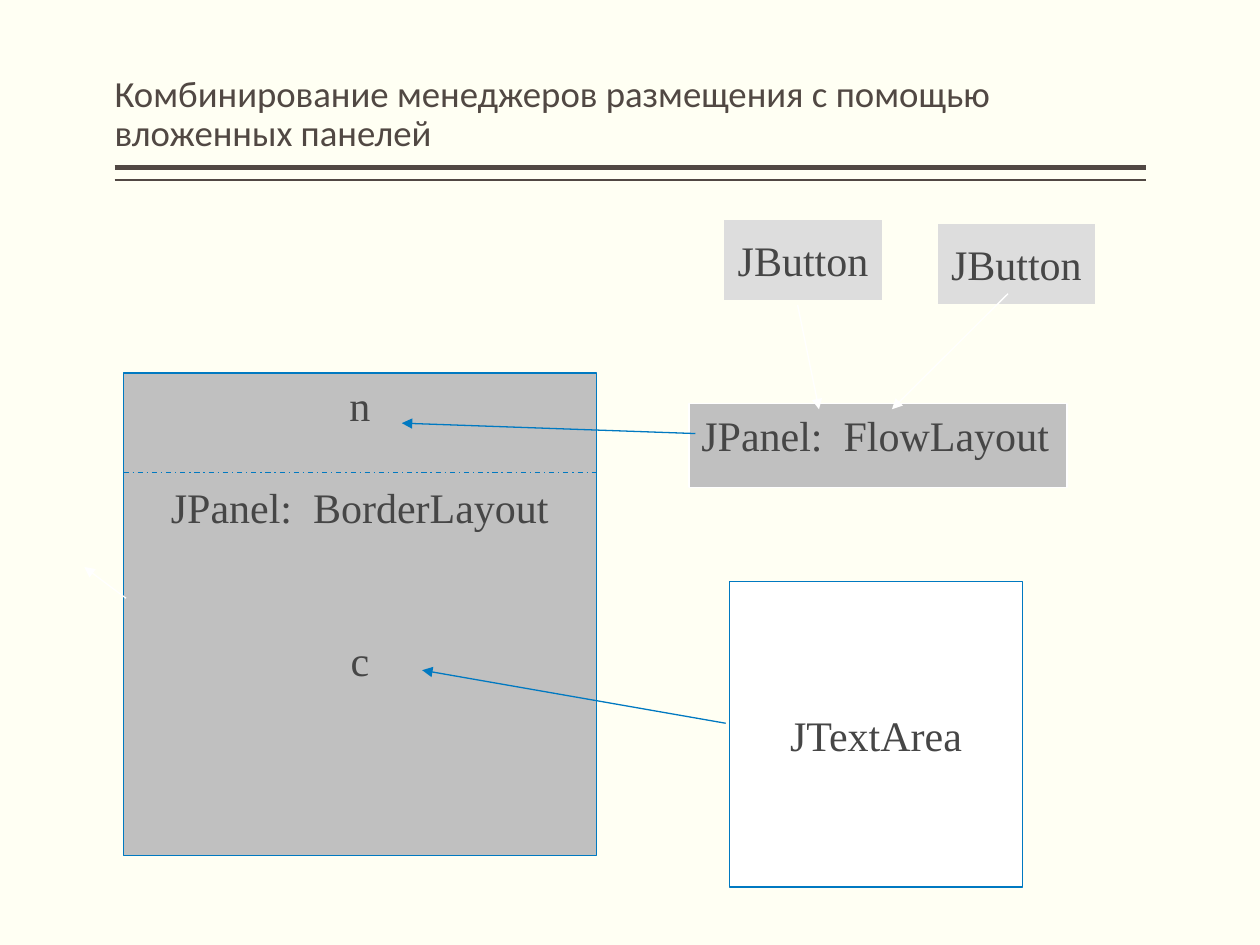
import pptx
import pptx.dml.color
import pptx.enum.dml
import pptx.enum.shapes
import pptx.enum.text
import pptx.oxml
import pptx.oxml.ns
import pptx.util
from pptx.util import Cm

RGBColor = pptx.dml.color.RGBColor
IVORY = RGBColor(0xFF, 0xFF, 0xF3)
BROWN = RGBColor(0x51, 0x48, 0x43)
BLUE = RGBColor(0x00, 0x79, 0xC1)
GREY = RGBColor(0xC0, 0xC0, 0xC0)
LIGHT_GREY = RGBColor(0xDD, 0xDD, 0xDD)
WHITE = RGBColor(0xFF, 0xFF, 0xFF)
TEXT = RGBColor(0x46, 0x46, 0x46)

PRESET = pptx.enum.shapes.MSO_SHAPE
ALIGN = pptx.enum.text.PP_ALIGN
ANCHOR = pptx.enum.text.MSO_ANCHOR
DASH_DOT = pptx.enum.dml.MSO_LINE.DASH_DOT

TITLE_FONT = {"name": "Calibri", "size": pptx.util.Pt(21)}
LABEL_FONT = {"name": "Times New Roman", "size": pptx.util.Pt(24)}


def apply(target, values):
    for name, value in values.items():
        setattr(target, name, value)


def place(shape, left, top, width, height):
    apply(shape, {"left": Cm(left), "top": Cm(top),
                  "width": Cm(width), "height": Cm(height)})


def add_title(slide, wording):
    title = slide.shapes.title
    place(title, 2.31, 0.2, 20.8, 3.05)
    frame = title.text_frame
    frame.text = wording
    apply(frame, {"margin_left": 0, "margin_right": 0, "word_wrap": True,
                  "vertical_anchor": ANCHOR.BOTTOM,
                  "auto_size": pptx.enum.text.MSO_AUTO_SIZE.NONE})
    heading = frame.paragraphs[0]
    apply(heading, {"alignment": ALIGN.LEFT, "line_spacing": 0.9})
    apply(heading.runs[0].font, TITLE_FONT)
    heading.runs[0].font.color.rgb = BROWN


def add_component(slide, box, labels, fill, border=None, preset=PRESET.RECTANGLE,
                  anchor=ANCHOR.MIDDLE, align=ALIGN.CENTER):
    """Draw a Swing component; labels are (wording, space before in points)."""
    component = slide.shapes.add_shape(preset, *map(Cm, box))
    component.shadow.inherit = False
    component.fill.solid()
    component.fill.fore_color.rgb = fill
    if border is None:
        component.line.fill.background()
    else:
        component.line.color.rgb = border
        component.line.width = pptx.util.Pt(0.75)
    frame = component.text_frame
    apply(frame, {"word_wrap": False, "vertical_anchor": anchor})
    for number, (wording, gap) in enumerate(labels):
        label = frame.add_paragraph() if number else frame.paragraphs[0]
        apply(label, {"alignment": align, "space_before": pptx.util.Pt(gap)})
        run = label.add_run()
        run.text = wording
        apply(run.font, LABEL_FONT)
        run.font.color.rgb = TEXT


def add_line(slide, start, end, color, width=0.75, dash=None, arrow=False):
    line = slide.shapes.add_connector(
        pptx.enum.shapes.MSO_CONNECTOR.STRAIGHT, *map(Cm, start + end))
    line.line.color.rgb = color
    line.line.width = pptx.util.Pt(width)
    if dash is not None:
        line.line.dash_style = dash
    properties = line._element.spPr
    if arrow:
        outline = properties.find(pptx.oxml.ns.qn("a:ln"))
        head = pptx.oxml.parse_xml(
            f'<a:tailEnd {pptx.oxml.ns.nsdecls("a")} type="triangle"/>')
        outline.append(head)
    properties.append(pptx.oxml.parse_xml(
        f'<a:effectLst {pptx.oxml.ns.nsdecls("a")}/>'))


def main():
    deck = pptx.Presentation()
    apply(deck, {"slide_width": Cm(25.4), "slide_height": Cm(19.05)})
    slide = deck.slides.add_slide(deck.slide_layouts[5])
    slide.background.fill.solid()
    slide.background.fill.fore_color.rgb = IVORY

    # Title and the double rule below it
    for height, width in ((3.38, 3), (3.63, 1)):
        add_line(slide, (2.31, height), (23.11, height), BROWN, width)
    add_title(slide, "Комбинирование менеджеров размещения с помощью вложенных панелей")

    # Outer panel with its north and center regions
    add_component(slide, (2.49, 7.52, 9.53, 9.73),
                  [("n", 0), ("JPanel:  BorderLayout", 29.5), ("c", 59)],
                  GREY, BLUE, anchor=ANCHOR.TOP)

    # Nested panel, its two buttons and the text area
    add_component(slide, (13.89, 8.13, 7.62, 1.7), [("JPanel:  FlowLayout", 0)],
                  GREY, WHITE, anchor=ANCHOR.TOP, align=ALIGN.LEFT)
    for left, top in ((18.9, 4.52), (14.6, 4.44)):
        add_component(slide, (left, top, 3.18, 1.6), [("JButton", 0)],
                      LIGHT_GREY, preset=PRESET.ACTION_BUTTON_CUSTOM)
    add_component(slide, (14.7, 11.73, 5.92, 6.15), [("JTextArea", 0)], WHITE, BLUE)

    # Border between the regions
    add_line(slide, (2.49, 9.52), (12.02, 9.52), BLUE, dash=DASH_DOT)

    # Arrows from each component to its container
    for start, end, color in (
            ((2.54, 12.06), (1.7, 11.43), WHITE),
            ((14.63, 14.58), (8.51, 13.51), BLUE),
            ((14.02, 8.74), (8.1, 8.53), BLUE),
            ((16.08, 6.15), (16.51, 8.25), WHITE),
            ((20.32, 5.92), (17.98, 8.25), WHITE)):
        add_line(slide, start, end, color, arrow=True)

    deck.save("out.pptx")


if __name__ == "__main__":
    main()
